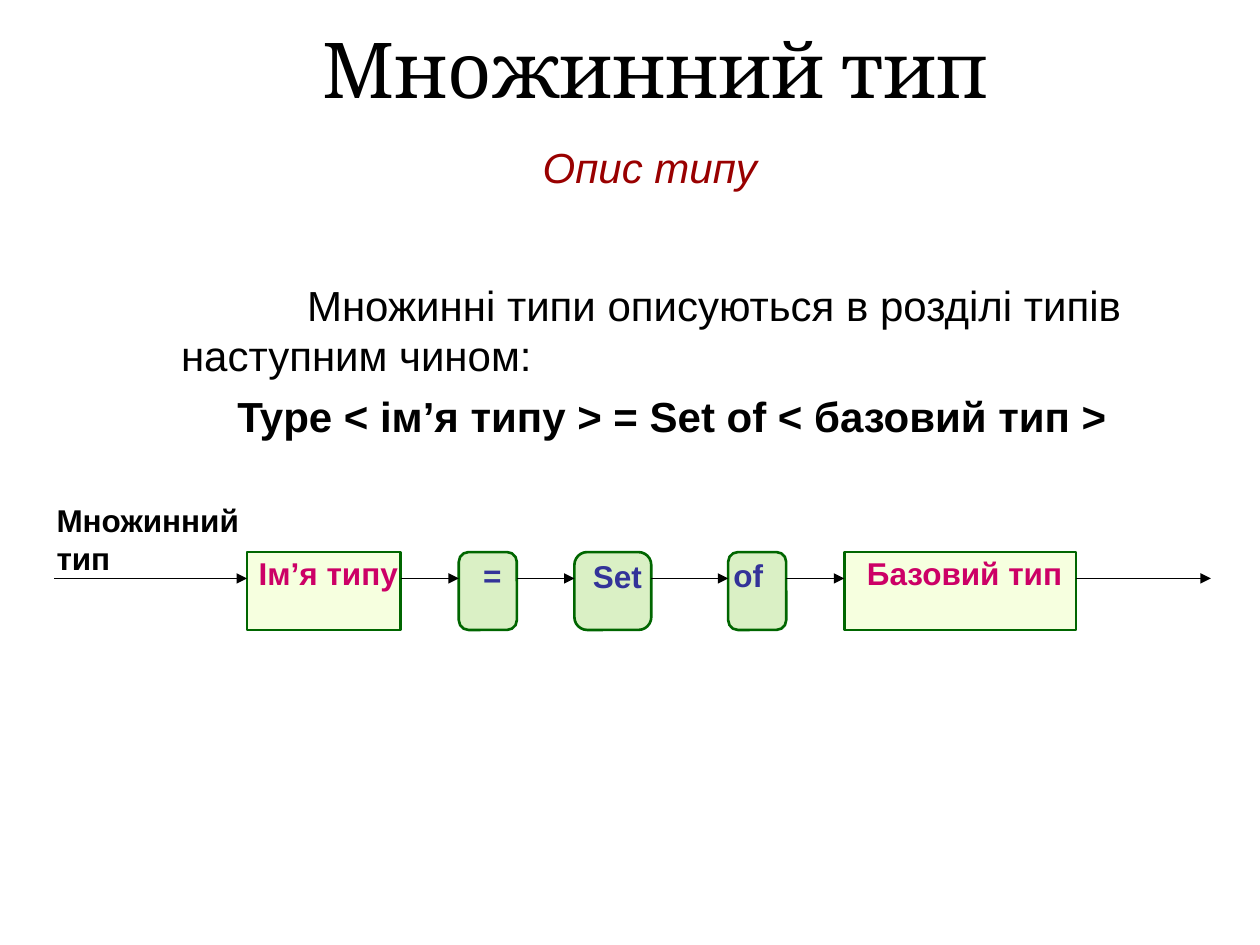
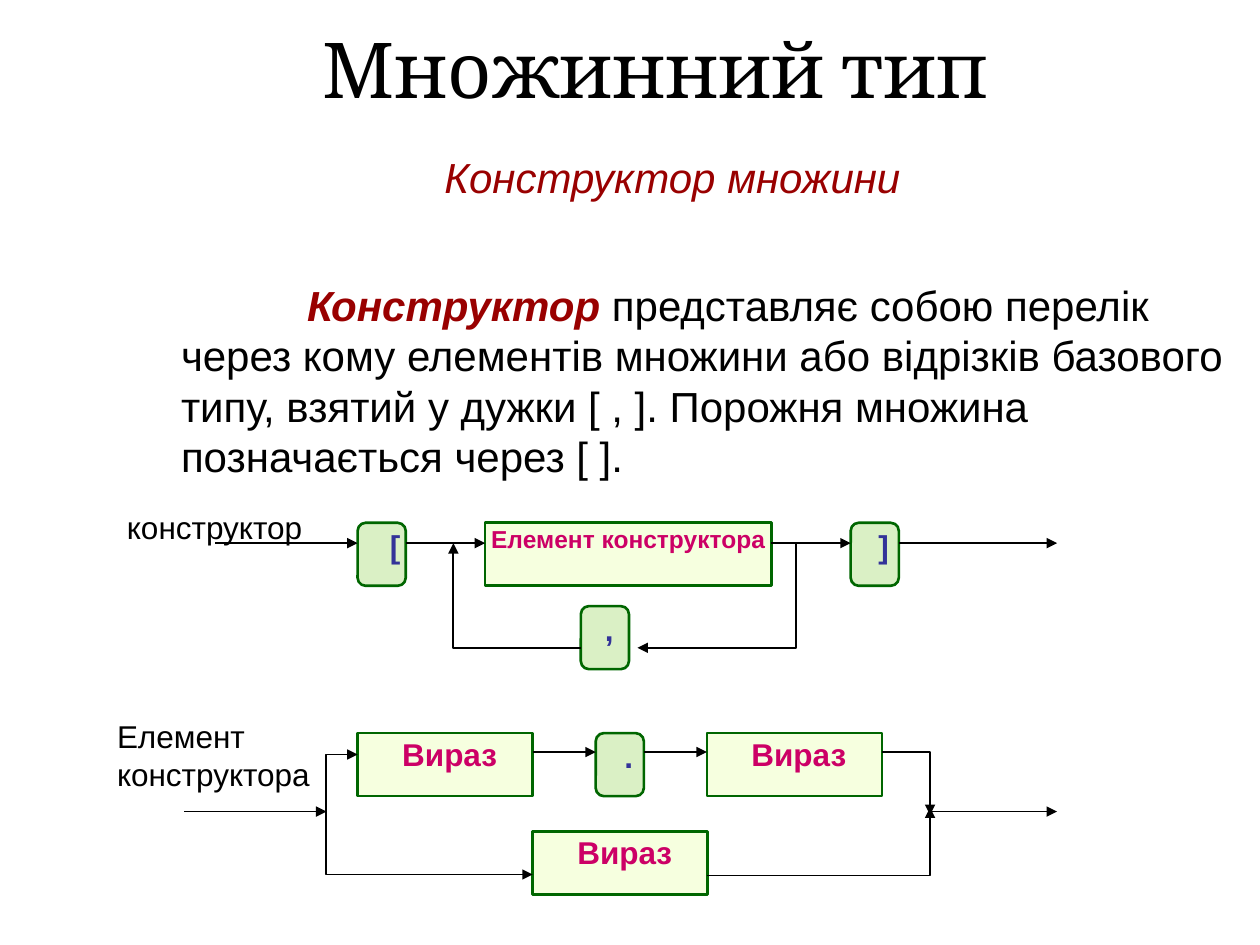
from dataclasses import dataclass

from pptx import Presentation
from pptx import util as u
from pptx.dml.color import RGBColor
from pptx.enum import shapes, text
from pptx.oxml.ns import qn
from lxml import etree

BLACK = RGBColor(0x00, 0x00, 0x00)
DARK_RED = RGBColor(0x99, 0x00, 0x00)
GREEN = RGBColor(0x00, 0x66, 0x00)
PALE_YELLOW = RGBColor(0xEF, 0xFF, 0xC1)
PALE_GREEN = RGBColor(0xB6, 0xE3, 0x8D)
MAGENTA = RGBColor(0xCC, 0x00, 0x66)
INDIGO = RGBColor(0x33, 0x33, 0x99)
BODY_FONT = "Arial"
TITLE_FONT = "Cambria"
INSET = 0.03
SPACE = 0.18

Point = tuple[float, float]


@dataclass
class Symbol:
    caption: str
    left: float
    width: float
    terminal: bool = False
    shift: int = 1
    size: int = 18

    @property
    def right(self) -> float:
        return self.left + self.width


@dataclass
class Chain:
    symbols: list[Symbol]
    top: float
    height: float
    flow_y: float
    entry: float | None = None
    exit: float | None = None


@dataclass
class Caption:
    lines: list[str]
    left: float
    top: float
    width: float
    height: float
    size: int = 18
    color: RGBColor = BLACK
    bold: bool = False
    italic: bool = False


def set_font(font, size: int, color: RGBColor, bold: bool = False,
             italic: bool = False, name: str = BODY_FONT) -> None:
    font.name, font.size = name, u.Pt(size)
    font.bold, font.italic = bold, italic
    font.color.rgb = color


def set_flow_line(flow) -> None:
    flow.line.color.rgb = BLACK
    flow.line.width = u.Pt(1)
    arrowhead = etree.SubElement(flow.line._get_or_add_ln(), qn("a:tailEnd"))
    arrowhead.set("type", "triangle")


def draw_arrow(slide, start: float, end: float, y: float) -> None:
    arrow = slide.shapes.add_connector(
        shapes.MSO_CONNECTOR.STRAIGHT, u.Cm(start), u.Cm(y), u.Cm(end), u.Cm(y))
    set_flow_line(arrow)
    etree.SubElement(arrow._element.spPr, qn("a:effectLst"))


def draw_bend(slide, points: list[Point]) -> None:
    start, *turns = [(u.Cm(x), u.Cm(y)) for x, y in points]
    builder = slide.shapes.build_freeform(*start)
    builder.add_line_segments(turns, close=False)
    bend = builder.convert_to_shape()
    bend.fill.background()
    bend.shadow.inherit = False
    set_flow_line(bend)


def draw_symbol(slide, symbol: Symbol, top: float, height: float) -> None:
    kind = shapes.MSO_SHAPE.ROUNDED_RECTANGLE if symbol.terminal else shapes.MSO_SHAPE.RECTANGLE
    box = slide.shapes.add_shape(
        kind, u.Cm(symbol.left), u.Cm(top), u.Cm(symbol.width), u.Cm(height))
    box.shadow.inherit = False
    box.fill.solid()
    box.fill.fore_color.rgb = PALE_GREEN if symbol.terminal else PALE_YELLOW
    color = box._element.spPr.find(qn("a:solidFill"))[0]
    etree.SubElement(color, qn("a:alpha")).set("val", "50000")
    box.line.color.rgb = GREEN
    box.line.width = u.Pt(1.5)
    frame = box.text_frame
    frame.word_wrap = True
    frame.vertical_anchor = text.MSO_ANCHOR.TOP
    frame.margin_top = frame.margin_bottom = u.Cm(INSET)
    frame.margin_left = u.Cm(INSET + SPACE * max(symbol.shift, 0))
    frame.margin_right = u.Cm(INSET + SPACE * max(-symbol.shift, 0))
    paragraph = frame.paragraphs[0]
    paragraph.text = symbol.caption
    paragraph.alignment = text.PP_ALIGN.CENTER
    set_font(paragraph.font, symbol.size, INDIGO if symbol.terminal else MAGENTA, bold=True)


def draw_chain(slide, chain: Chain) -> None:
    for symbol in chain.symbols:
        draw_symbol(slide, symbol, chain.top, chain.height)
    for before, after in zip(chain.symbols, chain.symbols[1:]):
        draw_arrow(slide, before.right, after.left, chain.flow_y)
    if chain.entry is not None:
        draw_arrow(slide, chain.entry, chain.symbols[0].left, chain.flow_y)
    if chain.exit is not None:
        draw_arrow(slide, chain.symbols[-1].right, chain.exit, chain.flow_y)


def draw_caption(slide, caption: Caption) -> None:
    frame = slide.shapes.add_textbox(
        u.Cm(caption.left), u.Cm(caption.top),
        u.Cm(caption.width), u.Cm(caption.height)).text_frame
    frame.word_wrap = False
    frame.vertical_anchor = text.MSO_ANCHOR.MIDDLE
    frame.text = "\n".join(caption.lines)
    for paragraph in frame.paragraphs:
        set_font(paragraph.font, caption.size, caption.color, caption.bold, caption.italic)


def add_topic_slide(deck, subtitle: Caption):
    slide = deck.slides.add_slide(deck.slide_layouts[5])
    title = slide.shapes.title
    title.left, title.top, title.width, title.height = map(u.Cm, (4.09, 0, 18.59, 2.72))
    title.text_frame.vertical_anchor = text.MSO_ANCHOR.MIDDLE
    paragraph = title.text_frame.paragraphs[0]
    paragraph.text = "Множинний тип "
    paragraph.alignment = text.PP_ALIGN.CENTER
    set_font(paragraph.font, 44, BLACK, name=TITLE_FONT)
    draw_caption(slide, subtitle)
    return slide


def add_body(slide):
    frame = slide.shapes.add_textbox(
        u.Cm(1.7), u.Cm(5.51), u.Cm(23.7), u.Cm(13.54)).text_frame
    frame.word_wrap = True
    paragraph = frame.paragraphs[0]
    paragraph.space_before = u.Pt(6)
    properties = paragraph._p.get_or_add_pPr()
    properties.set("marL", str(u.Cm(1.7)))
    properties.set("indent", str(u.Cm(2.54)))
    set_font(paragraph.font, 24, BLACK)
    return frame


def build_type_slide(deck) -> None:
    slide = add_topic_slide(deck, Caption(
        ["Опис типу"], 10.69, 2.72, 4.83, 1.27, 24, DARK_RED, italic=True))
    body = add_body(slide)
    body.paragraphs[0].text = "Множинні типи описуються в розділі типів наступним чином:"
    syntax = body.add_paragraph()
    syntax.text = "Type < ім’я типу > = Set of < базовий тип >"
    syntax.alignment = text.PP_ALIGN.CENTER
    syntax.space_before = u.Pt(6)
    set_font(syntax.font, 24, BLACK, bold=True)

    draw_caption(slide, Caption(["Множинний", "тип"], 0.89, 9.93, 6.91, 1.88, bold=True))
    draw_chain(slide, Chain([
        Symbol("Ім’я типу", 4.98, 3.1),
        Symbol("=", 9.25, 1.17, terminal=True),
        Symbol("Set", 11.58, 1.55, terminal=True),
        Symbol("of", 14.68, 1.17, terminal=True, shift=-2),
        Symbol("Базовий тип", 17.02, 4.67),
    ], top=11.13, height=1.57, flow_y=11.66, entry=1.09, exit=24.41))


def build_constructor_slide(deck) -> None:
    slide = add_topic_slide(deck, Caption(
        ["Конструктор множини"], 8.71, 2.92, 9.75, 1.27, 24, DARK_RED, italic=True))
    definition = add_body(slide).paragraphs[0]
    term = definition.add_run()
    term.text = "Конструктор "
    set_font(term.font, 24, DARK_RED, bold=True, italic=True)
    definition.add_run().text = (
        "представляє собою перелік через кому елементів множини або відрізків "
        "базового типу, взятий у дужки [ , ]. Порожня множина позначається через [ ].")

    height = 1.27
    draw_chain(slide, Chain([
        Symbol("[", 7.21, 0.97, terminal=True, shift=3),
        Symbol("Елемент конструктора", 9.78, 5.77, shift=0, size=14),
        Symbol("]", 17.15, 0.97, terminal=True, shift=2),
    ], top=10.54, height=height, flow_y=10.95, entry=4.34, exit=21.31))
    draw_symbol(slide, Symbol(",", 11.71, 0.97, terminal=True), 12.22, height)
    draw_bend(slide, [(16.05, 10.95), (16.05, 13.06), (12.85, 13.06)])
    draw_bend(slide, [(11.71, 13.06), (9.14, 13.06), (9.14, 10.95)])

    draw_chain(slide, Chain([
        Symbol("Вираз", 7.21, 3.53),
        Symbol(".", 12.01, 0.97, terminal=True, shift=2),
        Symbol("Вираз", 14.25, 3.53),
    ], top=14.78, height=height, flow_y=15.16))
    draw_symbol(slide, Symbol("Вираз", 10.74, 3.53), 16.76, height)
    fork, join, axis = 6.58, 18.75, 16.36
    draw_arrow(slide, 3.71, fork, axis)
    draw_arrow(slide, join, 21.31, axis)
    draw_bend(slide, [(fork, axis), (fork, 17.63), (10.74, 17.63)])
    draw_bend(slide, [(fork, axis), (fork, 15.21), (7.21, 15.21)])
    draw_bend(slide, [(14.25, 17.65), (join, 17.65), (join, 16.28)])
    draw_bend(slide, [(17.78, 15.16), (join, 15.16), (join, 16.43)])

    draw_caption(slide, Caption(["Елемент", "конструктора"], 2.11, 14.33, 4.39, 1.78))
    draw_caption(slide, Caption(["конструктор"], 2.31, 10.11, 4.22, 1.02))


def main() -> None:
    deck = Presentation()
    deck.slide_width, deck.slide_height = u.Cm(25.4), u.Cm(19.05)
    build_type_slide(deck)
    build_constructor_slide(deck)
    deck.save("out.pptx")


if __name__ == "__main__":
    main()
